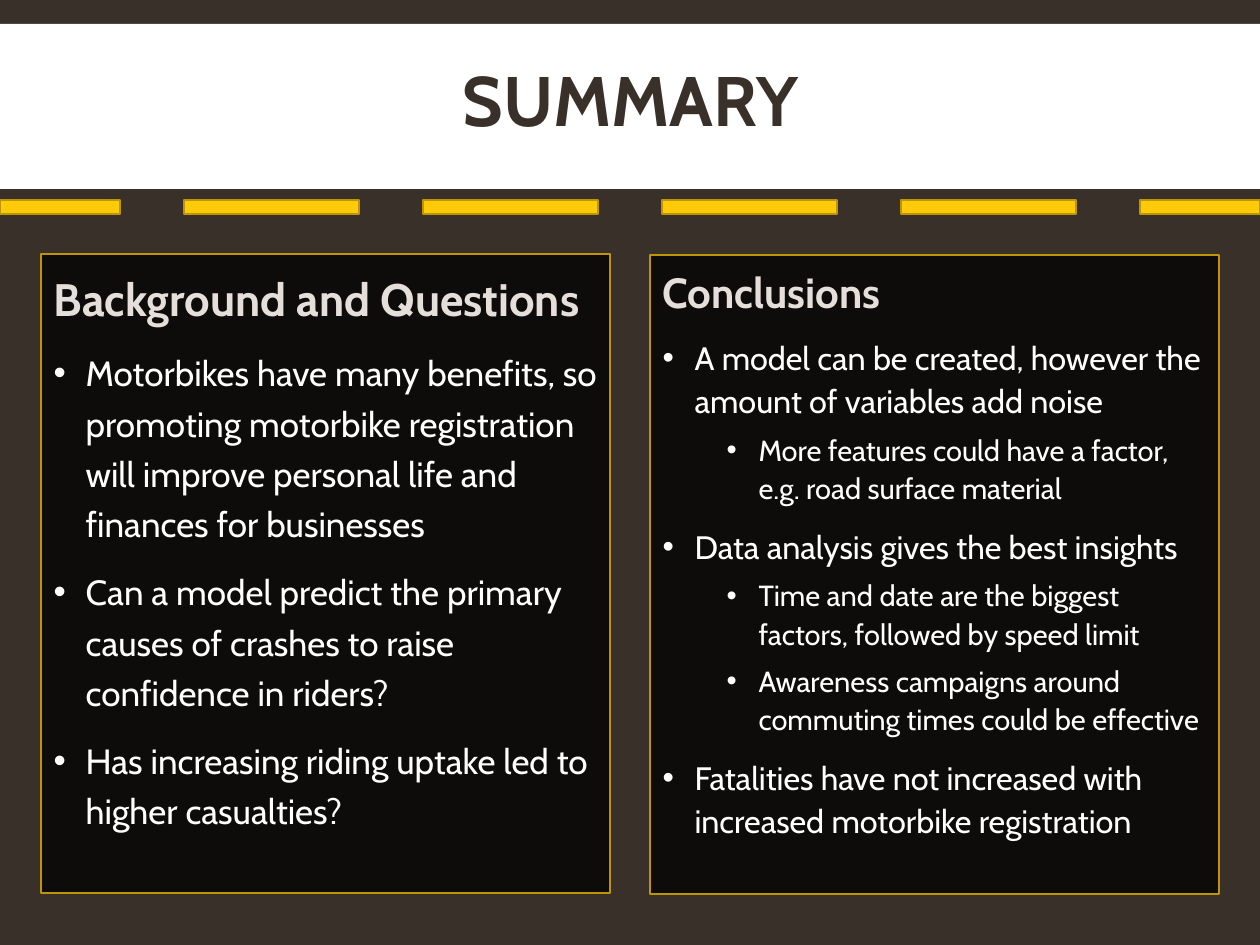
from pptx import Presentation
from pptx.dml.color import RGBColor
from pptx.enum.shapes import MSO_SHAPE as Shape
from pptx.enum.text import MSO_ANCHOR as Anchor, MSO_AUTO_SIZE as AutoSize, PP_ALIGN as Align
from pptx.oxml.ns import qn
from pptx.util import Emu, Pt
from lxml.etree import SubElement

WIDTH, HEIGHT = 1260, 945
SCALE = 914400 / 126
INDENT = 32
FONT = "Cabin"
BROWN, WHITE, BLACK = "39302A", "FFFFFF", "000000"
YELLOW, GOLD, CREAM = "FFCA08", "BD9506", "E5DEDB"

BACKGROUND = [
    (0, "Motorbikes have many benefits, so promoting motorbike registration "
        "will improve personal life and finances for businesses"),
    (0, "Can a model predict the primary causes of crashes to raise confidence in riders?"),
    (0, "Has increasing riding uptake led to higher casualties?"),
]
CONCLUSIONS = [
    (0, "A model can be created, however the amount of variables add noise"),
    (1, "More features could have a factor, e.g. road surface material"),
    (0, "Data analysis gives the best insights"),
    (1, "Time and date are the biggest factors, followed by speed limit"),
    (1, "Awareness campaigns around commuting times could be effective"),
    (0, "Fatalities have not increased with increased motorbike registration"),
]


def px(length):
    return Emu(round(length * SCALE))


def paint(colour_format, colour):
    colour_format.rgb = RGBColor.from_string(colour)


def fill(owner, colour):
    owner.fill.solid()
    paint(owner.fill.fore_color, colour)


def outline(shape, colour, width):
    paint(shape.line.color, colour)
    shape.line.width = Pt(width)


def place(shape, left, top, width, height):
    shape.left, shape.top = px(left), px(top)
    shape.width, shape.height = px(width), px(height)


def style(paragraph, size, colour, bold=False):
    font = paragraph.font
    font.name, font.size, font.bold = FONT, Pt(size), bold
    paint(font.color, colour)


def add_bar(shapes, left, top, width, height, colour):
    bar = shapes.add_shape(Shape.RECTANGLE, px(left), px(top), px(width), px(height))
    bar.shadow.inherit = False
    fill(bar, colour)
    bar.line.fill.background()
    return bar


def add_bands(shapes):
    bands = [add_bar(shapes, 0, 24, WIDTH, 227, WHITE),
             add_bar(shapes, 0, 189, WIDTH, 146, BROWN)]
    for order, band in enumerate(bands):
        shapes.element.insert(2 + order, band.element)


def add_road_dashes(shapes):
    road = shapes.add_group_shape()
    for start in range(-55, WIDTH, 239):
        left, right = max(0, start), min(WIDTH, start + 175)
        dash = add_bar(road.shapes, left, 200, right - left, 14, YELLOW)
        outline(dash, GOLD, 1)


def set_title(title, text):
    place(title, 95, 44, 1071, 123)
    frame = title.text_frame
    frame.text = text
    frame.auto_size = AutoSize.NONE
    frame.vertical_anchor = Anchor.MIDDLE
    heading = frame.paragraphs[0]
    heading.alignment = Align.CENTER
    heading.line_spacing = 0.85
    style(heading, 40, BROWN, True)


def set_bullet(paragraph, level):
    paragraph.level = level
    properties = paragraph._p.get_or_add_pPr()
    properties.set("marL", str(px(INDENT * (1 + 2 * level))))
    properties.set("indent", str(px(-INDENT)))
    colour = SubElement(properties, qn("a:buClr"))
    SubElement(colour, qn("a:srgbClr"), val=WHITE)
    SubElement(properties, qn("a:buFont"), typeface="Arial")
    SubElement(properties, qn("a:buChar"), char="•")


def set_panel(panel, left, top, heading_text, points, heading_size, sizes, spacing):
    place(panel, left, top, 569, 639)
    fill(panel, BLACK)
    shade = panel.fill._xPr.find(".//" + qn("a:srgbClr"))
    SubElement(shade, qn("a:alpha"), val="75000")
    outline(panel, GOLD, 0.75)
    frame = panel.text_frame
    frame.auto_size = AutoSize.NONE
    frame.vertical_anchor = Anchor.TOP

    heading = frame.paragraphs[0]
    heading.text = heading_text
    heading.line_spacing, heading.space_before = spacing, Pt(0)
    properties = heading._p.get_or_add_pPr()
    properties.set("marL", "0")
    properties.set("indent", "0")
    SubElement(properties, qn("a:buNone"))
    style(heading, heading_size, CREAM, True)

    for level, text in points:
        point = frame.add_paragraph()
        point.text = text
        point.line_spacing = spacing
        point.space_before = Pt((10, 5)[level])
        set_bullet(point, level)
        style(point, sizes[level], WHITE)


def main():
    deck = Presentation()
    deck.slide_width, deck.slide_height = px(WIDTH), px(HEIGHT)
    slide = deck.slides.add_slide(deck.slide_layouts[3])
    fill(slide.background, BROWN)
    title, background, conclusions = slide.placeholders
    add_bands(slide.shapes)
    set_title(title, "SUMMARY")
    add_road_dashes(slide.shapes)
    set_panel(background, 41, 254, "Background and Questions", BACKGROUND, 26, (20, 16.6), 1.2)
    set_panel(conclusions, 650, 255, "Conclusions", CONCLUSIONS, 24.1, (18.5, 16.6), 1.1)
    deck.save("out.pptx")


if __name__ == "__main__":
    main()
